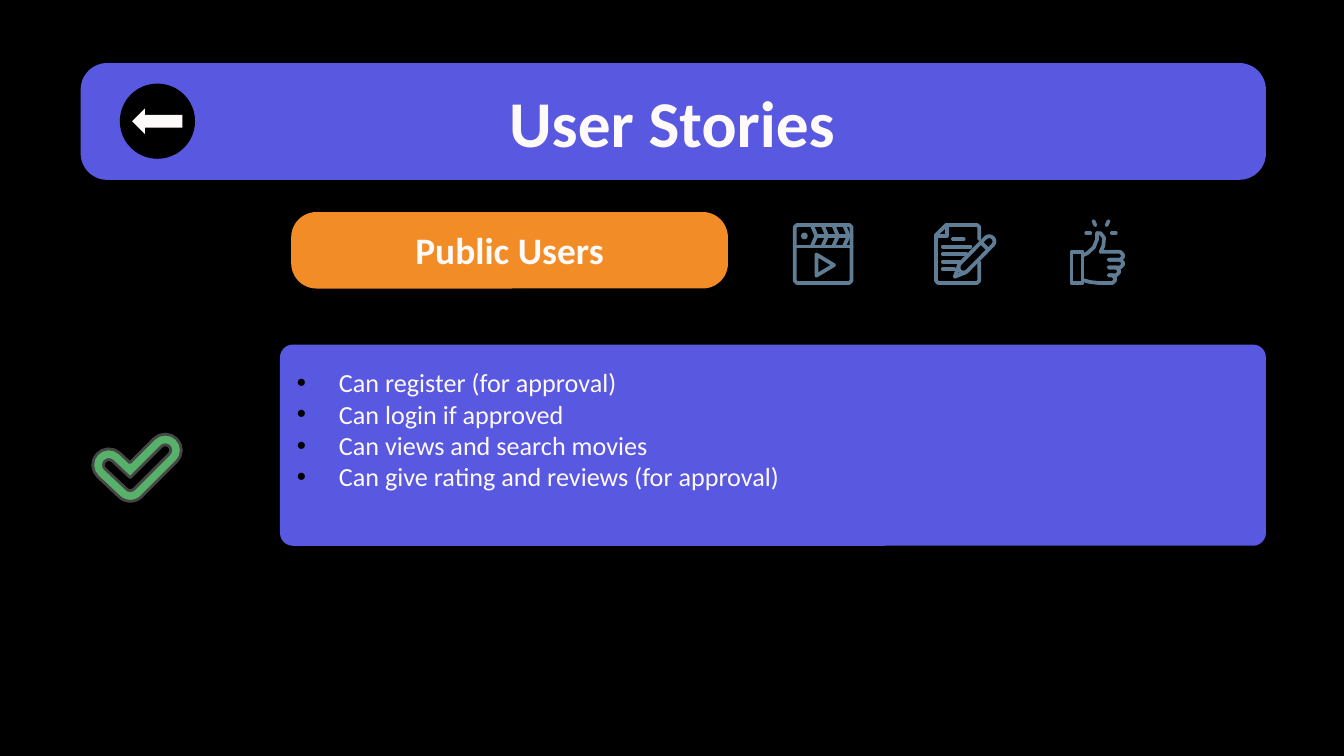
import math
from lxml import etree
from pptx import Presentation
from pptx.dml.color import RGBColor
from pptx.enum.shapes import MSO_SHAPE
from pptx.enum.text import MSO_ANCHOR, PP_ALIGN
from pptx.oxml.ns import qn
from pptx.util import Pt

ROUND, OVAL, ARROW = MSO_SHAPE.ROUNDED_RECTANGLE, MSO_SHAPE.OVAL, MSO_SHAPE.LEFT_ARROW
TOP, MIDDLE, BOTTOM = MSO_ANCHOR.TOP, MSO_ANCHOR.MIDDLE, MSO_ANCHOR.BOTTOM
CENTER, LEFT = PP_ALIGN.CENTER, PP_ALIGN.LEFT

COLORS = {"black": "000000", "violet": "5858E0", "orange": "F28C27", "white": "FFFAFA",
          "icon": "5F7D95", "check": "57B16B", "edge": "464646"}
RGB = {name: RGBColor.from_string(value) for name, value in COLORS.items()}
UNIT = 0.72    # points per unit of the icon drawings
STROKE = 2     # line width of the icons, in points
INSET = {"word_wrap": True, "margin_left": Pt(7.2), "margin_right": Pt(7.2),
         "margin_top": Pt(7.2), "margin_bottom": Pt(7.2)}


def band(line, radius):
    """Return the outline of a thick line with round ends and round outer corners."""
    tour = line + line[-2:0:-1]    # along the line and back again
    outline = []
    for i, (x, y) in enumerate(tour):
        x0, y0 = tour[i - 1]
        x2, y2 = tour[(i + 1) % len(tour)]
        heading = math.atan2(y - y0, x - x0)
        turn = (math.atan2(y2 - y, x2 - x) - heading) % math.tau
        if turn > math.pi + 0.01:    # inner corner: one mitred point
            turn -= math.tau
            reach, steps = radius / math.cos(turn / 2), [0.5]
        else:                        # outer corner or end: an arc
            reach, steps = radius, [k / 8 for k in range(9)]
        for step in steps:
            angle = heading - math.pi / 2 + step * turn
            outline.append((x + reach * math.cos(angle), y + reach * math.sin(angle)))
    return outline + outline[:1]


def add_path(shapes, origin, lines, color, width, fill=None):
    """Add one freeform of several lines, given in units from the origin in points."""
    scaled = [[(Pt(origin[0] + x * UNIT), Pt(origin[1] + y * UNIT)) for x, y in line]
              for line in lines]
    fb = shapes.build_freeform(*scaled[0][0])
    for points in scaled:
        fb.move_to(*points[0])
        fb.add_line_segments(points[1:], close=points[0] == points[-1])
    sp = fb.convert_to_shape()
    sp.shadow.inherit = False
    if fill:
        sp.fill.solid()
        sp.fill.fore_color.rgb = RGB[fill]
    else:
        sp.fill.background()
    sp.line.color.rgb = RGB[color]
    sp.line.width = Pt(width)
    sp.line._get_or_add_ln().set("cap", "rnd")


prs = Presentation()
prs.slide_width, prs.slide_height = Pt(720), Pt(405)
s = prs.slides.add_slide(prs.slide_layouts[6])
s.background.fill.solid()
s.background.fill.fore_color.rgb = RGB["black"]

# Panels, with the back button on the header
panels = {}
for name, kind, box, color, adj in [
    ("header", ROUND, (43.2, 33.8, 635, 62.6), "violet", 0.227),
    ("role", ROUND, (156, 113.6, 234, 41), "orange", 0.33),
    ("stories", ROUND, (150, 184.6, 528.2, 107.8), "violet", 0.064),
    ("button", OVAL, (64.2, 44.8, 40.3, 40.3), "black", None),
    ("arrow", ARROW, (70.8, 58.2, 26.9, 13.6), "white", None),
    ("clapper dot", OVAL, (429.1, 124.6, 3.6, 3.6), "icon", None),
]:
    sp = s.shapes.add_shape(kind, *map(Pt, box))
    sp.shadow.inherit = False
    sp.fill.solid()
    sp.fill.fore_color.rgb = RGB[color]
    sp.line.fill.background()
    if adj:
        sp.adjustments[0] = adj
    panels[name] = sp

# Headings
for text, box, size, anchor in [
    ("Public Users", (170, 116.9, 206, 36), 20, BOTTOM),
    ("User Stories", (106.3, 36.7, 507.6, 45.4), 35, TOP),
]:
    tf = s.shapes.add_textbox(*map(Pt, box)).text_frame
    for key, value in {**INSET, "vertical_anchor": anchor}.items():
        setattr(tf, key, value)
    p = tf.paragraphs[0]
    p.alignment = CENTER
    r = p.add_run()
    r.text = text
    for key, value in {"name": "Calibri", "size": Pt(size), "bold": True}.items():
        setattr(r.font, key, value)
    r.font.color.rgb = RGB["white"]

# Story list, raised by one line inside its panel
tf = panels["stories"].text_frame
for key, value in {**INSET, "vertical_anchor": MIDDLE, "margin_bottom": Pt(24.2)}.items():
    setattr(tf, key, value)
for i, story in enumerate(["Can register (for approval)", "Can login if approved",
                           "Can views and search movies",
                           "Can give rating and reviews (for approval)"]):
    p = tf.add_paragraph() if i else tf.paragraphs[0]
    p.alignment = LEFT
    pPr = p._p.get_or_add_pPr()
    pPr.set("marL", str(Pt(22.5)))
    pPr.set("indent", str(-Pt(22.5)))
    clr = etree.SubElement(pPr, qn("a:buClr"))
    etree.SubElement(clr, qn("a:srgbClr"), val=COLORS["black"])
    etree.SubElement(pPr, qn("a:buFont"), typeface="Arial")
    etree.SubElement(pPr, qn("a:buChar"), char="•")
    r = p.add_run()
    r.text = story
    r.font.name, r.font.size = "Calibri", Pt(14)
    r.font.color.rgb = RGB["white"]

# Check mark: a thick tick with a thin one cut out of it
tick = [(12, 12), (28, 27), (54, 1)]
add_path(s.shapes, (49.7, 240.5), [band(tick, 12), band(tick, 4)], "edge", 1.5, "check")

# Film clapper: frame, bar with four chevrons on a spine, play triangle
frame = [(3, 1.4), (42, 1.4), (43.6, 3), (43.6, 43), (42, 44.6), (3, 44.6), (1.4, 43),
         (1.4, 3), (3, 1.4)]
bar = [(1.4, 17.4), (43.6, 17.4)]
spine = [(17, 9.5), (43.6, 9.5)]
chevrons = [[(x, 1.4), (x + 3.5, 9.5), (x, 17.4)] for x in range(14, 39, 8)]
play = [(17.5, 23.4), (30.6, 31.3), (17.5, 39.2), (17.5, 23.4)]
clapper = [frame, bar, spine, *chevrons, play]

# Document: page open at the pencil, folded corner, text lines, pencil
page = [(33.6, 12), (33.6, 3), (32, 1.4), (9, 1.4), (1.4, 9), (1.4, 43), (3, 44.6),
        (32, 44.6), (33.6, 43), (33.6, 29)]
fold = [(9.4, 1.4), (9.4, 9.5), (1.4, 9.5)]
text_lines = [[(left, 12 + 5.6 * i), (right, 12 + 5.6 * i)]
              for i, (left, right) in enumerate([(14, 22), (6.5, 27), (6.5, 24),
                                                 (6.5, 19), (6.5, 15)])]
pencil = band([(22, 33), (41, 13.7)], 3.9)
nib = [(18.5, 31.5), (15.4, 40), (24, 36.5)]
ferrule = [(35, 14.5), (40, 19.5)]
document = [page, fold, *text_lines, pencil, nib, ferrule]

# Thumbs up: cuff, thumb, palm, four fingers, and sparks mirrored about the thumb
cuff = [(1.4, 24.4), (9.6, 24.4), (9.6, 47.6), (1.4, 47.6), (1.4, 24.4)]
thumb = [(9.6, 27), (13, 25.5), (18, 21), (20.4, 15), (20.4, 10.4), (23, 10.5),
         (25.6, 14), (25, 20), (23, 24.4), (28, 24.4)]
palm = [(9.6, 45.3), (15, 46.8), (22, 47.6), (29, 47.6)]
fingers = []
for i, tip in enumerate([39.6, 39.6, 36.7, 33.8]):
    top, bottom = 24.4 + 5.8 * i, 30.2 + 5.8 * i
    fingers.append([(29, top), (tip - 2, top), (tip, top + 2), (tip, bottom - 2),
                    (tip - 2, bottom), (29, bottom)])
sparks = []
for side in (-1, 1):
    sparks += [[(23.3 + side * 5.6, 1.4), (23.3 + side * 4.2, 4.6)],
               [(23.3 + side * 8, 10.4), (23.3 + side * 11, 10.4)]]
thumbs_up = [cuff, thumb, palm, *fingers, *sparks]

for origin, icon in [((424.8, 119.5), clapper), ((500.4, 119.5), document),
                     ((573.1, 117.4), thumbs_up)]:
    add_path(s.shapes, origin, icon, "icon", STROKE)

prs.save("out.pptx")
